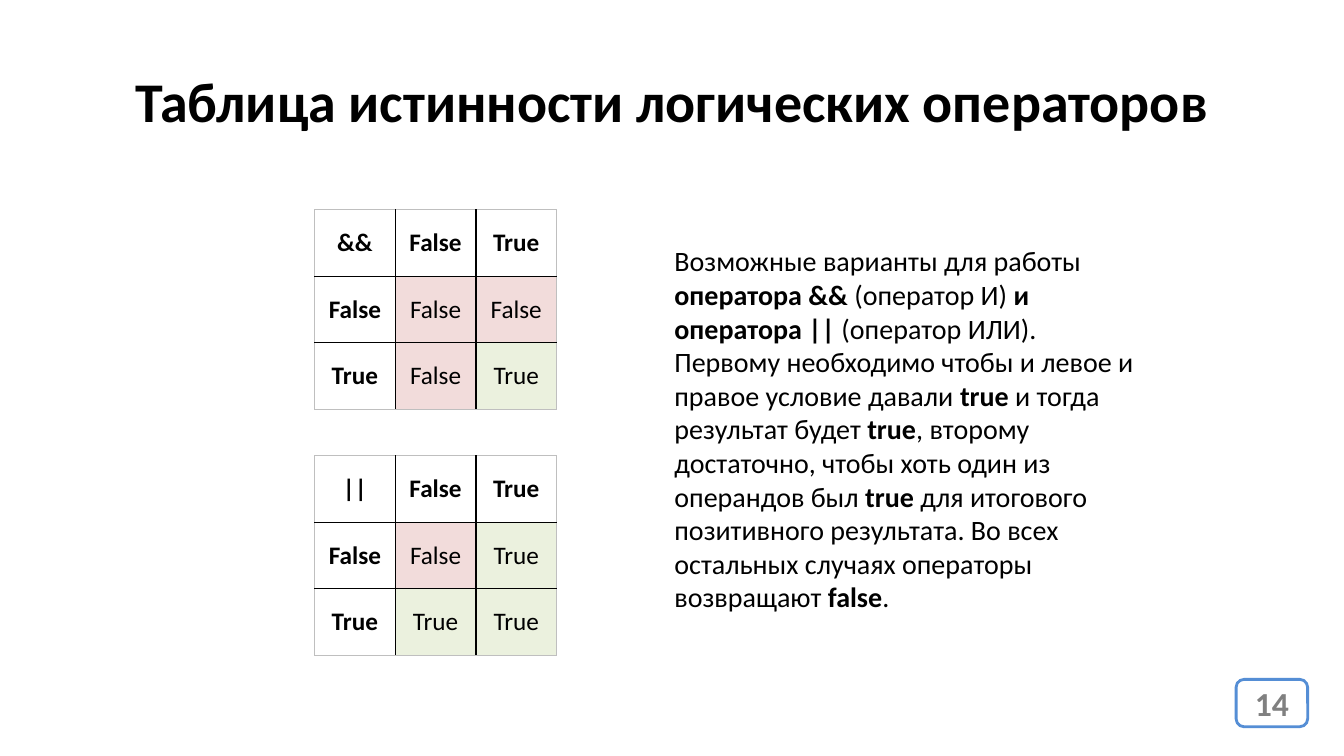
"""Build a slide with the truth tables of the logical operators && and ||."""
from dataclasses import dataclass

from lxml import etree
from pptx import Presentation
from pptx import util as u
from pptx.dml.color import RGBColor
from pptx.enum import shapes, text
from pptx.oxml.ns import qn

EMU_PER_PX = 9144


@dataclass(frozen=True)
class Theme:
    font: str = "Calibri"
    ink: str = "000000"
    paper: str = "FFFFFF"
    edge: str = "BFBFBF"
    false_fill: str = "F2DCDB"
    true_fill: str = "EBF1DE"
    badge_line: str = "558ED5"
    badge_text: str = "808080"
    title_pt: int = 40
    badge_pt: int = 24
    body_pt: int = 20
    cell_pt: int = 18
    rule_pt: float = 1
    edge_pt: float = 0.5


@dataclass(frozen=True)
class Box:
    left: int
    top: int
    width: int
    height: int

    def emu(self) -> tuple[u.Emu, ...]:
        return tuple(px(v) for v in (self.left, self.top, self.width, self.height))


@dataclass(frozen=True)
class TruthTable:
    box: Box
    operator: str
    results: tuple[tuple[bool, bool], tuple[bool, bool]]

    def rows(self) -> list[list[str]]:
        body = [[str(v), *map(str, res)] for v, res in zip((False, True), self.results)]
        return [[self.operator, "False", "True"], *body]


THEME = Theme()
TITLE = "Таблица истинности логических операторов"
BODY = (
    "Возможные варианты для работы *оператора &&* (оператор И) *и оператора || *"
    "(оператор ИЛИ). Первому необходимо чтобы и левое и правое условие давали *true *"
    "и тогда результат будет *true*, второму достаточно, чтобы хоть один из операндов был "
    "*true *для итогового позитивного результата. Во всех остальных случаях операторы "
    "возвращают *false*."
)
TABLES = (
    TruthTable(Box(312, 208, 240, 198), "&&", ((False, False), (False, True))),
    TruthTable(Box(312, 452, 240, 198), "||", ((False, True), (True, True))),
)


def px(value: int) -> u.Emu:
    return u.Emu(value * EMU_PER_PX)


def rgb(color: str) -> RGBColor:
    return RGBColor.from_string(color)


def style(p, size: int, color: str, bold: bool | None = None, align=text.PP_ALIGN.CENTER) -> None:
    p.alignment = align
    p.font.name = THEME.font
    p.font.size = u.Pt(size)
    p.font.color.rgb = rgb(color)
    p.font.bold = bold


def add_border(cell, side: str, outer: bool) -> None:
    color, width = (THEME.edge, THEME.edge_pt) if outer else (THEME.ink, THEME.rule_pt)
    tc_pr = cell._tc.get_or_add_tcPr()
    ln = etree.SubElement(tc_pr, qn(f"a:ln{side}"), w=str(u.Pt(width)))
    fill = etree.SubElement(ln, qn("a:solidFill"))
    etree.SubElement(fill, qn("a:srgbClr"), val=color)


def add_truth_table(s, spec: TruthTable) -> None:
    rows = spec.rows()
    last = len(rows) - 1
    table = s.shapes.add_table(len(rows), len(rows), *spec.box.emu()).table
    table.first_row = table.horz_banding = False
    fills = {"False": THEME.false_fill, "True": THEME.true_fill}
    for i, row in enumerate(rows):
        for j, value in enumerate(row):
            cell = table.cell(i, j)
            header = i == 0 or j == 0
            cell.text = value
            cell.vertical_anchor = text.MSO_ANCHOR.MIDDLE
            style(cell.text_frame.paragraphs[0], THEME.cell_pt, THEME.ink, header)
            for side, outer in (("L", j == 0), ("R", j == last), ("T", i == 0), ("B", i == last)):
                add_border(cell, side, outer)
            cell.fill.solid()
            cell.fill.fore_color.rgb = rgb(THEME.paper if header else fills[value])


def add_title(s, box: Box) -> None:
    sp = s.shapes.title
    sp.left, sp.top, sp.width, sp.height = box.emu()
    tf = sp.text_frame
    tf.text = TITLE
    tf.vertical_anchor = text.MSO_ANCHOR.MIDDLE
    style(tf.paragraphs[0], THEME.title_pt, THEME.ink, True)


def add_body(s, box: Box) -> None:
    tf = s.shapes.add_textbox(*box.emu()).text_frame
    tf.word_wrap = True
    p = tf.paragraphs[0]
    style(p, THEME.body_pt, THEME.ink, align=text.PP_ALIGN.LEFT)
    for i, part in enumerate(BODY.split("*")):
        r = p.add_run()
        r.text = part
        r.font.bold = i % 2 == 1


def add_badge(s, box: Box, number: int) -> None:
    sp = s.shapes.add_shape(shapes.MSO_SHAPE.ROUNDED_RECTANGLE, *box.emu())
    sp.shadow.inherit = False
    sp.fill.solid()
    sp.fill.fore_color.rgb = rgb(THEME.paper)
    sp.line.color.rgb = rgb(THEME.badge_line)
    sp.line.width = u.Pt(2)
    tf = sp.text_frame
    tf.text = str(number)
    tf.vertical_anchor = text.MSO_ANCHOR.MIDDLE
    style(tf.paragraphs[0], THEME.badge_pt, THEME.badge_text, True)


def main() -> None:
    prs = Presentation()
    prs.slide_width, prs.slide_height = px(1333), px(750)
    s = prs.slides.add_slide(prs.slide_layouts.get_by_name("Title Only"))
    add_badge(s, Box(1226, 674, 71, 47), 14)
    add_title(s, Box(0, 37, 1333, 125))
    for spec in TABLES:
        add_truth_table(s, spec)
    add_body(s, Box(659, 237, 479, 380))
    prs.save("out.pptx")


if __name__ == "__main__":
    main()
